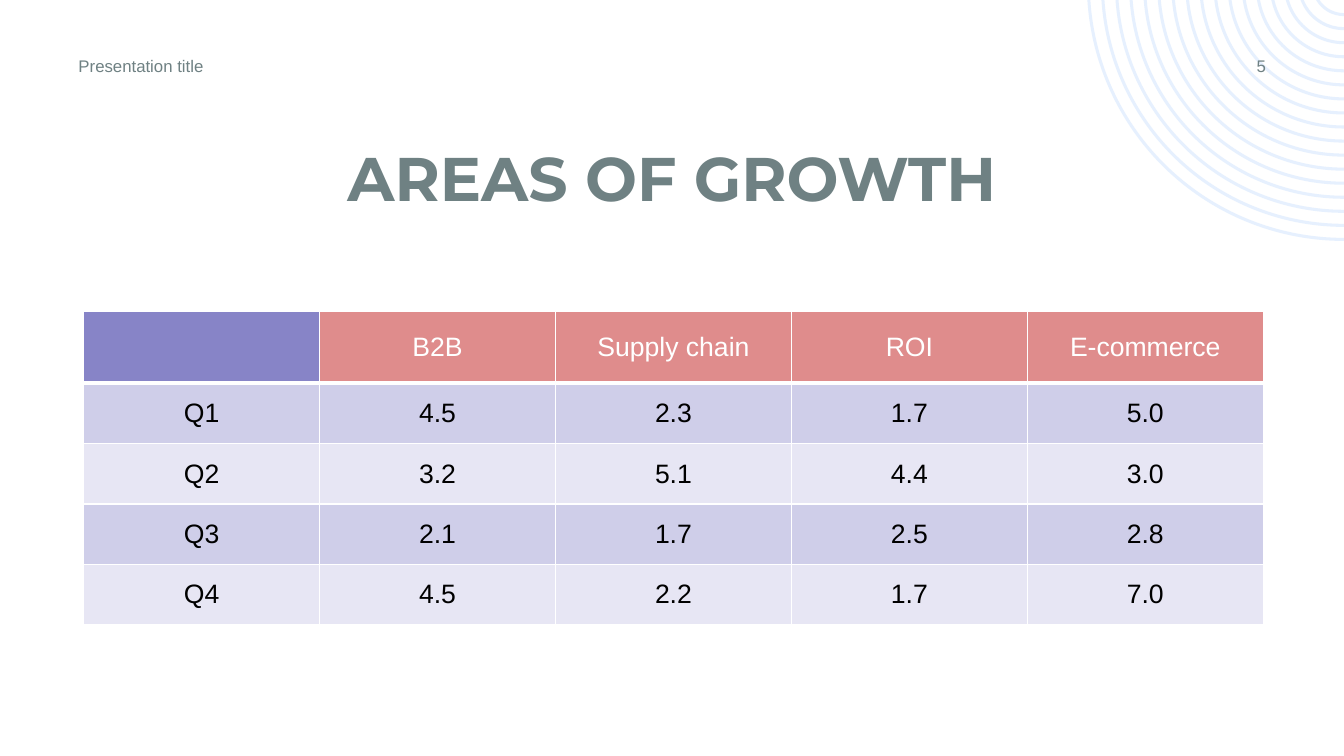
import math

import lxml.etree
import pptx
import pptx.dml.color
import pptx.enum.text
import pptx.oxml.ns
import pptx.util

# Content
TITLE = "AREAS OF GROWTH"
FOOTER = "Presentation title"
PAGE_NUMBER = "5"
GROWTH = [
    ("", "B2B", "Supply chain", "ROI", "E-commerce"),
    ("Q1", "4.5", "2.3", "1.7", "5.0"),
    ("Q2", "3.2", "5.1", "4.4", "3.0"),
    ("Q3", "2.1", "1.7", "2.5", "2.8"),
    ("Q4", "4.5", "2.2", "1.7", "7.0"),
]

# Colours
RGB = pptx.dml.color.RGBColor
GREY = RGB(0x6F, 0x81, 0x83)
RING_BLUE = RGB(0xE6, 0xF0, 0xFE)
VIOLET = RGB(0x87, 0x84, 0xC7)
CORAL = RGB(0xDF, 0x8C, 0x8C)
BANDS = (RGB(0xE7, 0xE6, 0xF4), RGB(0xCF, 0xCE, 0xE9))
WHITE = RGB(0xFF, 0xFF, 0xFF)
BLACK = RGB(0x00, 0x00, 0x00)

# Layout in inches
WIDTH, HEIGHT = 13.33, 7.5
MARGIN = 0.83
TABLE_TOP, COLUMN, HEADER_ROW, BODY_ROW = 3.09, 2.34, 0.71, 0.6
RING_COUNT, RING_THICKNESS = 17, 0.03
OUTER_RADIUS, INNER_RADIUS, CENTRE_ABOVE = 2.55, 0.32, 0.16

Inches = pptx.util.Inches
CENTER = pptx.enum.text.PP_ALIGN.CENTER
LEFT = pptx.enum.text.PP_ALIGN.LEFT
MIDDLE = pptx.enum.text.MSO_ANCHOR.MIDDLE


def style(para, text, size, color, align, font="Arial", bold=False):
    para.text = text
    para.alignment = align
    para.font.name = font
    para.font.size = pptx.util.Pt(size)
    para.font.bold = bold
    para.font.color.rgb = color


def add_text(page, place, *styling, **options):
    box = page.shapes.add_textbox(*map(Inches, place))
    box.text_frame.word_wrap = True
    box.text_frame.vertical_anchor = MIDDLE
    style(box.text_frame.paragraphs[0], *styling, **options)


def arc_ends(radius):
    """Where a ring edge meets the slide's top edge and its right edge."""
    reach = math.sqrt(radius ** 2 - CENTRE_ABOVE ** 2)
    return [(Inches(WIDTH - reach), 0),
            (Inches(WIDTH), Inches(radius - CENTRE_ABOVE))]


def bend(line, radius, inward):
    """Turn a straight segment into a circular arc of the given radius."""
    top_angle = 180 - math.degrees(math.asin(CENTRE_ABOVE / radius))
    start, end = (90, top_angle) if inward else (top_angle, 90)
    curve = lxml.etree.Element(
        pptx.oxml.ns.qn("a:arcTo"),
        wR=str(Inches(radius)), hR=str(Inches(radius)),
        stAng=str(round(start * 60000)), swAng=str(round((end - start) * 60000)))
    line.getparent().replace(line, curve)


def add_rings(page):
    step = (OUTER_RADIUS - INNER_RADIUS) / (RING_COUNT - 1)
    radii = [OUTER_RADIUS - ring * step for ring in range(RING_COUNT)]
    builder = page.shapes.build_freeform(*arc_ends(OUTER_RADIUS)[0])
    for radius in radii:
        corners = arc_ends(radius) + arc_ends(radius - RING_THICKNESS)[::-1]
        if radius != OUTER_RADIUS:
            builder.move_to(*corners[0])
        builder.add_line_segments(corners[1:], close=True)
    rings = builder.convert_to_shape()
    rings.shadow.inherit = False
    rings.fill.solid()
    rings.fill.fore_color.rgb = RING_BLUE
    rings.line.fill.background()

    # Each ring has three segments: outer edge, right end, inner edge
    lines = list(rings._element.iter(pptx.oxml.ns.qn("a:lnTo")))
    for radius, outer, inner in zip(radii, lines[::3], lines[2::3]):
        bend(outer, radius, inward=False)
        bend(inner, radius - RING_THICKNESS, inward=True)


def add_borders(cell, widths):
    properties = cell._tc.get_or_add_tcPr()
    for side, width in widths.items():
        line = lxml.etree.SubElement(properties, pptx.oxml.ns.qn("a:ln" + side),
                                     w=str(pptx.util.Pt(width)))
        fill = lxml.etree.SubElement(line, pptx.oxml.ns.qn("a:solidFill"))
        lxml.etree.SubElement(fill, pptx.oxml.ns.qn("a:srgbClr"), val=str(WHITE))


def add_growth_table(page):
    rows, columns = len(GROWTH), len(GROWTH[0])
    frame = page.shapes.add_table(
        rows, columns, Inches(MARGIN), Inches(TABLE_TOP), Inches(columns * COLUMN),
        Inches(HEADER_ROW + (rows - 1) * BODY_ROW))
    table = frame.table
    table.first_row = table.horz_banding = False
    for column in table.columns:
        column.width = Inches(COLUMN)
    for index, values in enumerate(GROWTH):
        header = index == 0
        table.rows[index].height = Inches(HEADER_ROW if header else BODY_ROW)
        for position, value in enumerate(values):
            cell = table.cell(index, position)
            cell.vertical_anchor = MIDDLE
            cell.margin_left = cell.margin_right = Inches(0.11)
            cell.margin_top = cell.margin_bottom = Inches(0.05)
            add_borders(cell, {"L": 1, "R": 1, "T": 3 if index == 1 else 1,
                               "B": 3 if header else 1})
            cell.fill.solid()
            if header:
                cell.fill.fore_color.rgb = CORAL if value else VIOLET
            else:
                cell.fill.fore_color.rgb = BANDS[index % 2]
            style(cell.text_frame.paragraphs[0], value, 19,
                  WHITE if header else BLACK, CENTER)


def main():
    deck = pptx.Presentation()
    deck.slide_width, deck.slide_height = Inches(WIDTH), Inches(HEIGHT)
    page = deck.slides.add_slide(deck.slide_layouts[6])

    # Corner rings
    add_rings(page)

    # Title and table
    add_text(page, (MARGIN, 1.33, WIDTH - 2 * MARGIN, 0.84),
             TITLE, 44, GREY, CENTER, font="Montserrat", bold=True)
    add_growth_table(page)

    # Running header
    add_text(page, (0.68, 0.5, 5.89, 0.3), FOOTER, 12, GREY, LEFT)
    add_text(page, (11.97, 0.5, 1.08, 0.3), PAGE_NUMBER, 12, GREY, CENTER)

    deck.save("out.pptx")


if __name__ == "__main__":
    main()
